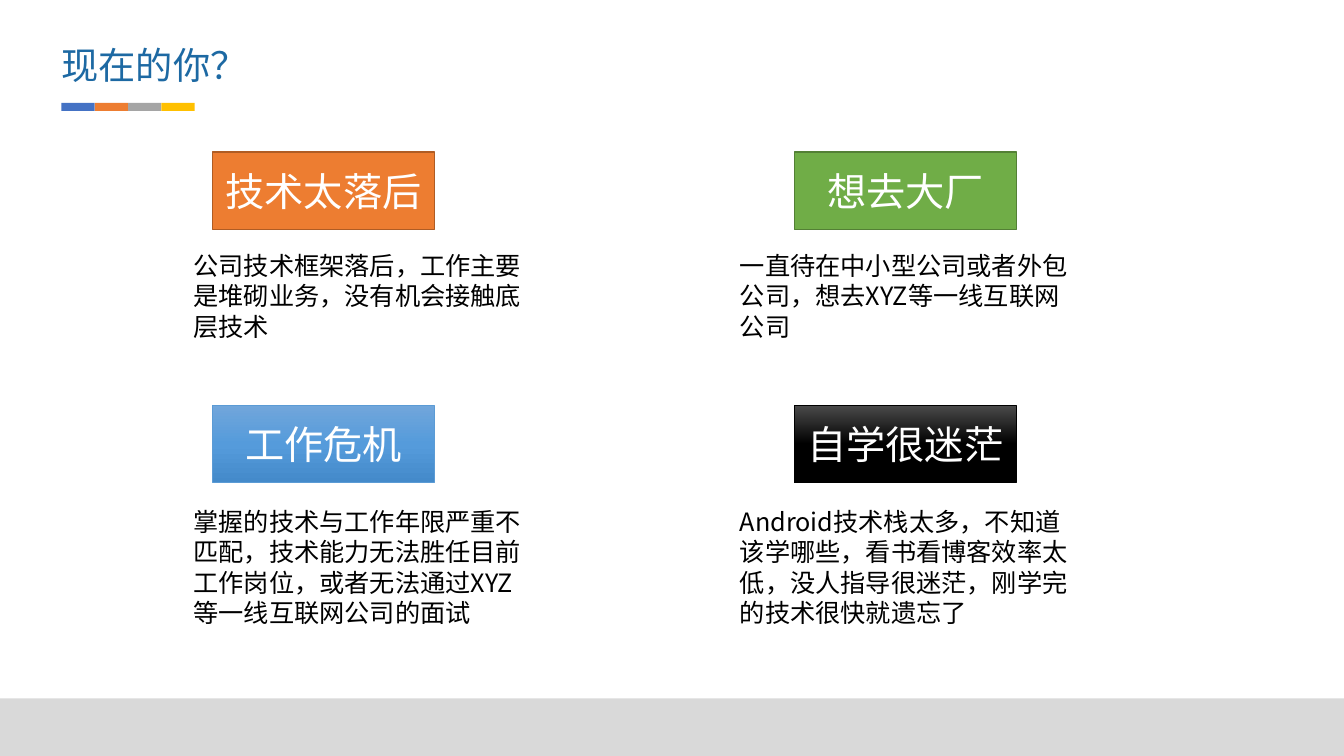
from copy import deepcopy
from dataclasses import dataclass

from lxml import etree
from pptx import Presentation, util as u
from pptx.dml.color import RGBColor
from pptx.enum import shapes, text
from pptx.oxml.ns import qn

# Content: heading, body paragraphs, fill (one colour or gradient stops), outline, outline width
TITLE = "现在的你？"
CARDS = [
    ("技术太落后", ["公司技术框架落后，工作主要", "是堆砌业务，没有机会接触底层技术"],
     ["ED7D31"], "AF5C24", 1),
    ("想去大厂", ["一直待在中小型公司或者外包公司，想去XYZ等一线互联网公司"],
     ["70AD47"], "538035", 1),
    ("工作危机", ["掌握的技术与工作年限严重不匹配，技术能力无法胜任目前工作岗位，"
              "或者无法通过XYZ等一线互联网公司的面试"],
     ["71A6DB", "559BDB", "448ACA"], "5B9BD5", 0.5),
    ("自学很迷茫", ["Android技术栈太多，不知道该学哪些，看书看博客效率太低，"
               "没人指导很迷茫，刚学完的技术很快就遗忘了"],
     ["4B4B4B", "000000", "000000"], "000000", 0.5),
]


@dataclass(frozen=True)
class Theme:
    font: str = "Noto Sans CJK SC"
    title: str = "1D69A3"
    body: str = "000000"
    heading: str = "FFFFFF"
    footer: str = "D9D9D9"
    accents: tuple = ("4472C4", "ED7D31", "A5A5A5", "FFC000")
    title_size: float = 26.6
    heading_size: float = 28
    body_size: float = 18
    title_leading: float = 32.4
    body_leading: float = 21.8


THEME = Theme()

# Layout rules, in inches
HEADING_X, BODY_X = (2.11, 7.88), (1.82, 7.24)
HEADING_Y, BODY_Y = (1.51, 4.02), (2.43, 4.97)
BODY_HEIGHT = (1.01, 1.31)
ACCENT_STEP = 0.33


def box(*lengths):
    return [u.Inches(length) for length in lengths]


def write(frame, lines, size, color, leading=None, align=text.PP_ALIGN.LEFT):
    frame.word_wrap = True
    for index, line in enumerate(lines):
        paragraph = frame.paragraphs[0] if index == 0 else frame.add_paragraph()
        paragraph.alignment = align
        if leading:
            paragraph.line_spacing = u.Pt(leading)
        run = paragraph.add_run()
        run.text = line
        run.font.size = u.Pt(size)
        run.font.name = THEME.font
        run.font.color.rgb = RGBColor.from_string(color)
        east_asian = etree.SubElement(run.font._element, qn("a:ea"))
        east_asian.set("typeface", THEME.font)


def paint(fill, colors):
    if len(colors) == 1:
        fill.solid()
        fill.fore_color.rgb = RGBColor.from_string(colors[0])
        return
    fill.gradient()
    fill.gradient_angle = 270
    first = fill.gradient_stops[0]._gs
    first.addnext(deepcopy(first))
    for index, (stop, color) in enumerate(zip(fill.gradient_stops, colors)):
        stop.position = index / (len(colors) - 1)
        stop.color.rgb = RGBColor.from_string(color)


def add_rectangle(parent, bounds, colors):
    shape = parent.add_shape(shapes.MSO_SHAPE.RECTANGLE, *box(*bounds))
    shape.shadow.inherit = False
    paint(shape.fill, colors)
    shape.line.fill.background()
    return shape


def add_card(slide, index, card):
    heading, body, colors, outline, width = card
    row, column = divmod(index, 2)

    bounds = (HEADING_X[column], HEADING_Y[row], 2.2, 0.77)
    shape = add_rectangle(slide.shapes, bounds, colors)
    shape.line.color.rgb = RGBColor.from_string(outline)
    shape.line.width = u.Pt(width)
    shape.text_frame.vertical_anchor = text.MSO_ANCHOR.MIDDLE
    write(shape.text_frame, [heading], THEME.heading_size, THEME.heading,
          align=text.PP_ALIGN.CENTER)

    body_box = slide.shapes.add_textbox(
        *box(BODY_X[column], BODY_Y[row], 3.47, BODY_HEIGHT[row]))
    write(body_box.text_frame, body, THEME.body_size, THEME.body, THEME.body_leading)


def main():
    presentation = Presentation()
    presentation.slide_width, presentation.slide_height = box(13.33, 7.5)
    slide = presentation.slides.add_slide(presentation.slide_layouts[5])

    # Footer band
    add_rectangle(slide.shapes, (0, 6.93, 13.33, 0.57), [THEME.footer])

    # Title
    title = slide.shapes.title
    title.left, title.top, title.width, title.height = box(0.61, 0.41, 4.05, 0.45)
    frame = title.text_frame
    frame.margin_left = frame.margin_right = frame.margin_top = frame.margin_bottom = 0
    frame.vertical_anchor = text.MSO_ANCHOR.TOP
    write(frame, [TITLE], THEME.title_size, THEME.title, THEME.title_leading)

    # Accent strip under the title
    strip = slide.shapes.add_group_shape()
    for index, color in enumerate(THEME.accents):
        left = 0.61 + index * ACCENT_STEP
        add_rectangle(strip.shapes, (left, 1.02, ACCENT_STEP, 0.08), [color])

    # Four cards, two per row
    for index, card in enumerate(CARDS):
        add_card(slide, index, card)

    presentation.save("out.pptx")


if __name__ == "__main__":
    main()
